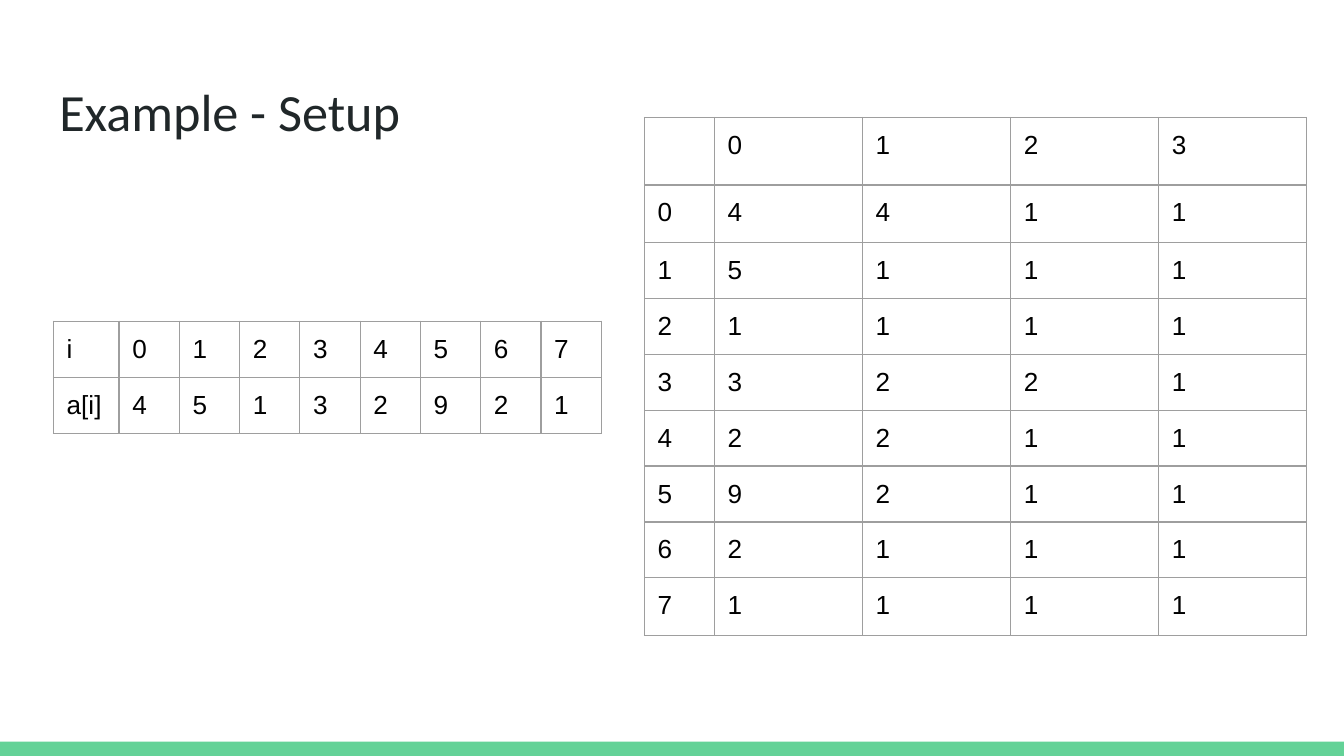
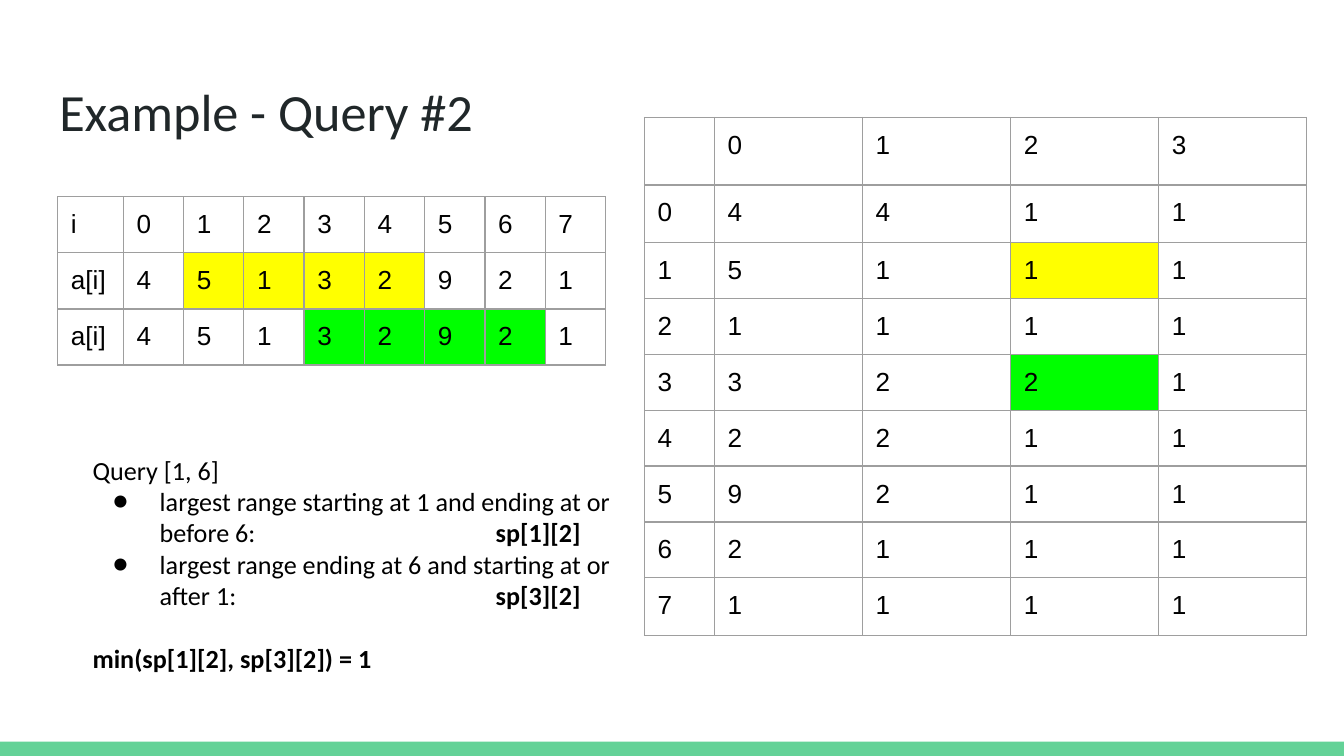
from lxml import etree
from pptx import Presentation
from pptx.dml.color import RGBColor
from pptx.enum.shapes import MSO_SHAPE
from pptx.enum.text import MSO_ANCHOR, MSO_AUTO_SIZE, PP_ALIGN
from pptx.oxml.ns import qn
from pptx.util import Cm, Pt

RECTANGLE = MSO_SHAPE.RECTANGLE
TOP = MSO_ANCHOR.TOP
NO_AUTOFIT = MSO_AUTO_SIZE.NONE
LEFT = PP_ALIGN.LEFT
TITLE_ONLY = 5


class Theme:
    band = "63D297"
    title = "202729"
    text = "000000"
    grid = "9E9E9E"
    first_range = "FFFF00"
    second_range = "00FF00"
    text_font = "Calibri"
    table_font = "Arial"
    title_size = Pt(28)
    text_size = Pt(14)
    grid_width = Pt(0.75)
    inset = Cm(0.25)


# Content
ARRAY = [4, 5, 1, 3, 2, 9, 2, 1]
LEVELS = 4

SLIDES = [
    {"title": "Example - Setup", "array_at": (1.01, 6.07), "ranges": [], "query": []},
    {
        "title": "Example - Query #2",
        "array_at": (1.09, 3.72),
        # start index, level, colour
        "ranges": [(1, 2, Theme.first_range), (3, 2, Theme.second_range)],
        # bulleted, plain text, bold text
        "query": [
            (False, "Query [1, 6]", ""),
            (True, "largest range starting at 1 and ending at or before 6: \t\t", "sp[1][2]"),
            (True, "largest range ending at 6 and starting at or after 1: \t\t", "sp[3][2]"),
            (False, "", "min(sp[1][2], sp[3][2]) = 1"),
        ],
    },
]

# Layout in centimetres
SLIDE_SIZE = (25.4, 14.29)
BAND_HEIGHT = 0.27
TITLE_BOX = (0.87, 1.24, 23.67, 1.59)
QUERY_BOX = (1.5, 8.33, 10.34, 1.65)
SPARSE_AT = (12.18, 2.22)
SPARSE_COLUMNS = [1.32] + [2.8] * LEVELS
SPARSE_ROWS = [1.09, 1.09] + [0.89] * (len(ARRAY) - 2) + [1.09]
ARRAY_COLUMNS = [1.24] + [1.14] * len(ARRAY)
ARRAY_ROW = 1.06


def cm(values):
    return [Cm(value) for value in values]


def rgb(colour):
    return RGBColor.from_string(colour)


def style_font(font, name, size, colour, bold=False):
    font.name, font.size, font.bold = name, size, bold
    font.color.rgb = rgb(colour)


def set_insets(frame):
    frame.margin_left = frame.margin_right = Theme.inset
    frame.margin_top = frame.margin_bottom = Theme.inset


def add_borders(cell):
    properties = cell._tc.get_or_add_tcPr()
    for position, side in enumerate(("lnL", "lnR", "lnT", "lnB")):
        line = etree.Element(qn(f"a:{side}"), w=str(Theme.grid_width))
        fill = etree.SubElement(line, qn("a:solidFill"))
        etree.SubElement(fill, qn("a:srgbClr"), val=Theme.grid)
        properties.insert(position, line)


def add_grid(slide, at, columns, heights, rows, highlights):
    """Draw rows of values; highlights maps (row, column) to a fill colour."""
    size = (sum(columns), sum(heights))
    table = slide.shapes.add_table(len(rows), len(columns), *cm(at + size)).table
    table.first_row = table.horz_banding = False
    for column, width in zip(table.columns, columns):
        column.width = Cm(width)
    for row, height in zip(table.rows, heights):
        row.height = Cm(height)
    for r, values in enumerate(rows):
        for c, value in enumerate(values):
            cell = table.cell(r, c)
            cell.text_frame.text = str(value)
            set_insets(cell)
            for run in cell.text_frame.paragraphs[0].runs:
                style_font(run.font, Theme.table_font, Theme.text_size, Theme.text)
            if (r, c) in highlights:
                cell.fill.solid()
                cell.fill.fore_color.rgb = rgb(highlights[r, c])
            else:
                cell.fill.background()
            add_borders(cell)


def add_array(slide, at, ranges):
    """Indices above one row of values per range, or a single plain row."""
    value_row = ["a[i]"] + ARRAY
    rows = [["i", *range(len(ARRAY))]] + [value_row] * max(1, len(ranges))
    highlights = {
        (row, i + 1): colour
        for row, (start, level, colour) in enumerate(ranges, 1)
        for i in range(start, start + 2 ** level)
    }
    add_grid(slide, at, ARRAY_COLUMNS, [ARRAY_ROW] * len(rows), rows, highlights)


def add_sparse_table(slide, ranges):
    """Entry (i, k) is the minimum of the 2**k values from i, cut at the end."""
    rows = [["", *range(LEVELS)]]
    for i in range(len(ARRAY)):
        rows.append([i] + [min(ARRAY[i:i + 2 ** k]) for k in range(LEVELS)])
    highlights = {(start + 1, level + 1): colour for start, level, colour in ranges}
    add_grid(slide, SPARSE_AT, SPARSE_COLUMNS, SPARSE_ROWS, rows, highlights)


def add_bullet(paragraph):
    properties = paragraph._p.get_or_add_pPr()
    properties.set("marL", str(Cm(1.27)))
    properties.set("indent", str(-Cm(0.89)))
    properties.set("defTabSz", str(Cm(2.54)))
    colour = etree.SubElement(properties, qn("a:buClr"))
    etree.SubElement(colour, qn("a:srgbClr"), val=Theme.text)
    etree.SubElement(properties, qn("a:buFont"), typeface=Theme.text_font)
    etree.SubElement(properties, qn("a:buChar"), char="●")


def add_query(slide, lines):
    frame = slide.shapes.add_textbox(*cm(QUERY_BOX)).text_frame
    frame.word_wrap = True
    set_insets(frame)
    for number, (bulleted, plain, strong) in enumerate(lines):
        paragraph = frame.add_paragraph() if number else frame.paragraphs[0]
        if bulleted:
            add_bullet(paragraph)
        for text, bold in ((plain, False), (strong, True)):
            if text:
                run = paragraph.add_run()
                run.text = text
                style_font(run.font, Theme.text_font, Theme.text_size, Theme.text, bold)
    # One line of space sets the result apart
    paragraph.space_before = Pt(17)


def set_title(slide, text):
    title = slide.shapes.title
    title.left, title.top, title.width, title.height = cm(TITLE_BOX)
    frame = title.text_frame
    frame.text = text
    frame.auto_size = NO_AUTOFIT
    frame.vertical_anchor = TOP
    set_insets(frame)
    paragraph = frame.paragraphs[0]
    paragraph.alignment = LEFT
    style_font(paragraph.runs[0].font, Theme.text_font, Theme.title_size, Theme.title)


def add_master_band(prs, slide):
    """Build the bottom band, then move it to the master so all slides share it."""
    width, height = SLIDE_SIZE
    band = slide.shapes.add_shape(
        RECTANGLE, *cm((0, height - BAND_HEIGHT, width, BAND_HEIGHT)))
    band.shadow.inherit = False
    band.fill.solid()
    band.fill.fore_color.rgb = rgb(Theme.band)
    band.line.fill.background()
    prs.slide_master.shapes.element.append(band.element)


def main():
    prs = Presentation()
    prs.slide_width, prs.slide_height = cm(SLIDE_SIZE)
    for content in SLIDES:
        slide = prs.slides.add_slide(prs.slide_layouts[TITLE_ONLY])
        set_title(slide, content["title"])
        add_sparse_table(slide, content["ranges"])
        add_array(slide, content["array_at"], content["ranges"])
        if content["query"]:
            add_query(slide, content["query"])
    add_master_band(prs, prs.slides[0])
    prs.save("out.pptx")


if __name__ == "__main__":
    main()
